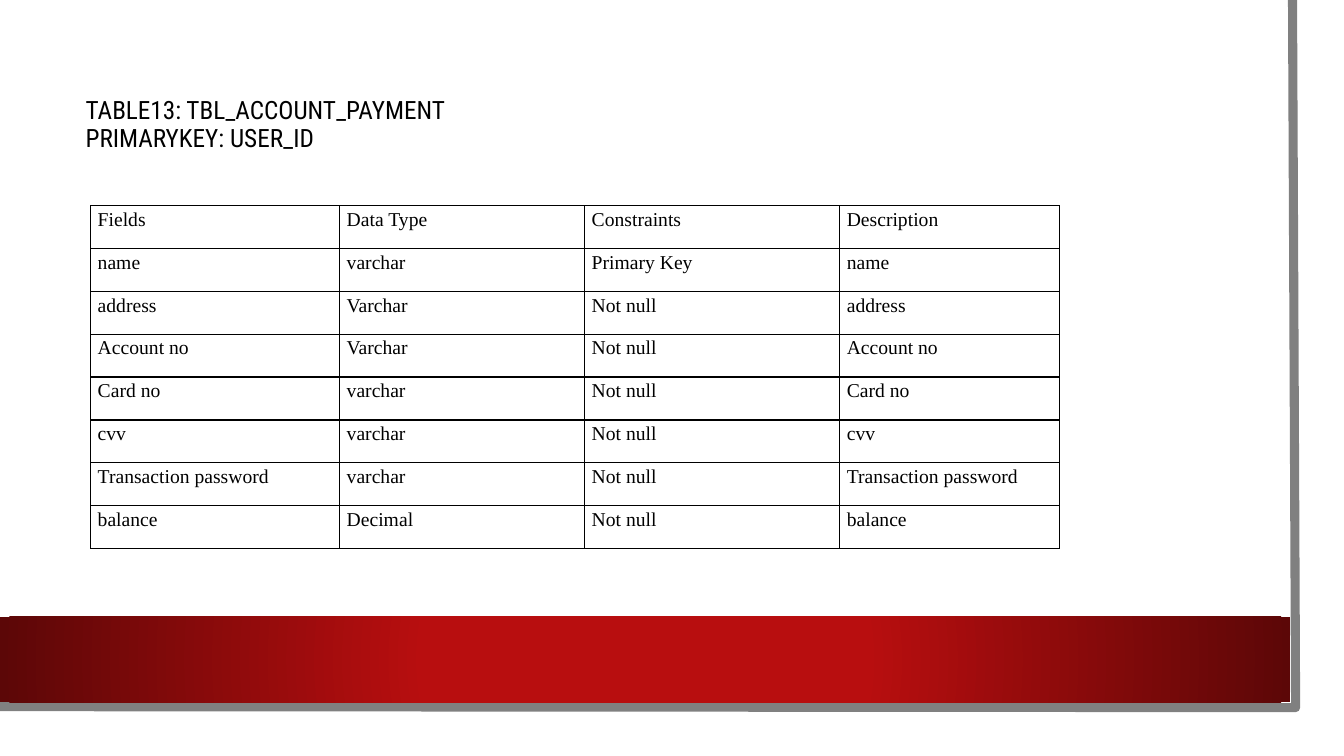
from lxml import etree
from pptx import Presentation
from pptx import util as u
from pptx.dml import color
from pptx.enum import text
from pptx.oxml import ns

WIDE, HIGH = 13.33, 7.5
ROWS = [
    ("Fields", "Data Type", "Constraints", "Description"),
    ("name", "varchar", "Primary Key", "name"),
    ("address", "Varchar", "Not null", "address"),
    ("Account no", "Varchar", "Not null", "Account no"),
    ("Card no", "varchar", "Not null", "Card no"),
    ("cvv", "varchar", "Not null", "cvv"),
    ("Transaction password", "varchar", "Not null", "Transaction password"),
    ("balance", "Decimal", "Not null", "balance"),
]


def tint(code):
    return color.RGBColor.from_string(code)


def write(frame, words, font="Times New Roman", size=14, ink="000000",
          space=1.15, pad=(0.07, 0, 0.07, 0), anchor=text.MSO_ANCHOR.TOP):
    frame.word_wrap = True
    frame.vertical_anchor = anchor
    (frame.margin_left, frame.margin_top,
     frame.margin_right, frame.margin_bottom) = map(u.Inches, pad)
    para = frame.paragraphs[0]
    para.text = words
    para.alignment = text.PP_ALIGN.LEFT
    para.line_spacing = space
    for run in para.runs:
        run.font.name, run.font.size = font, u.Pt(size)
        run.font.color.rgb = tint(ink)


class Page:
    """Places parts by percent of the slide's width and height."""

    def __init__(self, deck):
        self.slide = deck.slides.add_slide(deck.slide_layouts[6])
        self.shapes = self.slide.shapes
        self.ink, self.gray, self.paper = "000000", "808080", "FFFFFF"

    def across(self, share):
        return u.Inches(WIDE * share / 100)

    def down(self, share):
        return u.Inches(HIGH * share / 100)

    def box(self, x, y, w, h):
        return self.across(x), self.down(y), self.across(w), self.down(h)

    def block(self, *spot, fill=None):
        shape = self.shapes.add_shape(1, *self.box(*spot))
        shape.shadow.inherit = False
        shape.line.fill.background()
        if fill:
            shape.fill.solid()
            shape.fill.fore_color.rgb = tint(fill)
        return shape

    def glow(self, *spot, stops):
        shape = self.block(*spot)
        shape.fill.gradient()
        for stop, (place, code) in zip(shape.fill.gradient_stops, stops):
            stop.position, stop.color.rgb = place, tint(code)
        # Swap the linear blend for a round one
        blend = shape._element.spPr.find(ns.qn("a:gradFill"))
        blend.remove(blend.find(ns.qn("a:lin")))
        ring = etree.SubElement(blend, ns.qn("a:path"), {"path": "circle"})
        etree.SubElement(ring, ns.qn("a:fillToRect"),
                         dict.fromkeys("ltrb", "50000"))

    def edge(self, *spots, width):
        first, *rest = [(self.across(x), self.down(y)) for x, y in spots]
        form = self.shapes.build_freeform(*first)
        form.add_line_segments(rest, close=False)
        shape = form.convert_to_shape()
        shape.shadow.inherit = False
        shape.fill.background()
        shape.line.color.rgb = tint(self.gray)
        shape.line.width = u.Pt(width)

    def label(self, *spot, words, **style):
        write(self.shapes.add_textbox(*self.box(*spot)).text_frame,
              words, **style)

    def frame(self, cell, width):
        props = cell._tc.get_or_add_tcPr()
        for spot, side in enumerate("LRTB"):
            line = etree.Element(ns.qn("a:ln" + side), w=str(u.Pt(width)))
            fill = etree.SubElement(line, ns.qn("a:solidFill"))
            etree.SubElement(fill, ns.qn("a:srgbClr"), val=self.ink)
            props.insert(spot, line)

    def table(self, x, y, wide, tall, rows):
        spot = self.box(x, y, sum(wide), tall * len(rows))
        grid = self.shapes.add_table(len(rows), len(wide), *spot).table
        grid.first_row = grid.horz_banding = False
        for col, share in zip(grid.columns, wide):
            col.width = self.across(share)
        for row, items in zip(grid.rows, rows):
            row.height = self.down(tall)
            for cell, words in zip(row.cells, items):
                cell.fill.background()
                self.frame(cell, 1)
                # Cell margins and anchor belong to the cell itself
                cell.margin_left = cell.margin_right = u.Inches(0.07)
                cell.margin_top = cell.margin_bottom = 0
                cell.vertical_anchor = text.MSO_ANCHOR.TOP
                para = cell.text_frame
                write(Plain(para), words)


class Plain:
    """Takes box settings aside, so that a cell gets only its text."""

    def __init__(self, frame):
        self.paragraphs = frame.paragraphs


def main():
    deck = Presentation()
    deck.slide_width, deck.slide_height = u.Inches(WIDE), u.Inches(HIGH)
    page = Page(deck)

    # Paper with its gray edge and red band
    page.block(0, 0, 98.27, 96.93, fill=page.paper)
    page.edge((96.17, 0), (96.4, 93.6), (-0.23, 93.47), width=6.5)
    page.glow(0, 81.6, 96.02, 11.33,
              stops=[(0.34, "B80E0F"), (1, "5C0707")])

    # Title
    page.label(5.63, 10, 85.3, 16.8,
               words="TABLE13: TBL_ACCOUNT_PAYMENT\vPRIMARYKEY: USER_ID",
               font="Roboto Condensed", size=18, space=0.9,
               pad=(0.1, 0.05, 0.1, 0.32), anchor=text.MSO_ANCHOR.MIDDLE)

    # Field list
    page.table(6.75, 27.2, (18.53, 18.23, 18.98, 16.35), 5.67, ROWS)
    deck.save("out.pptx")


if __name__ == "__main__":
    main()
